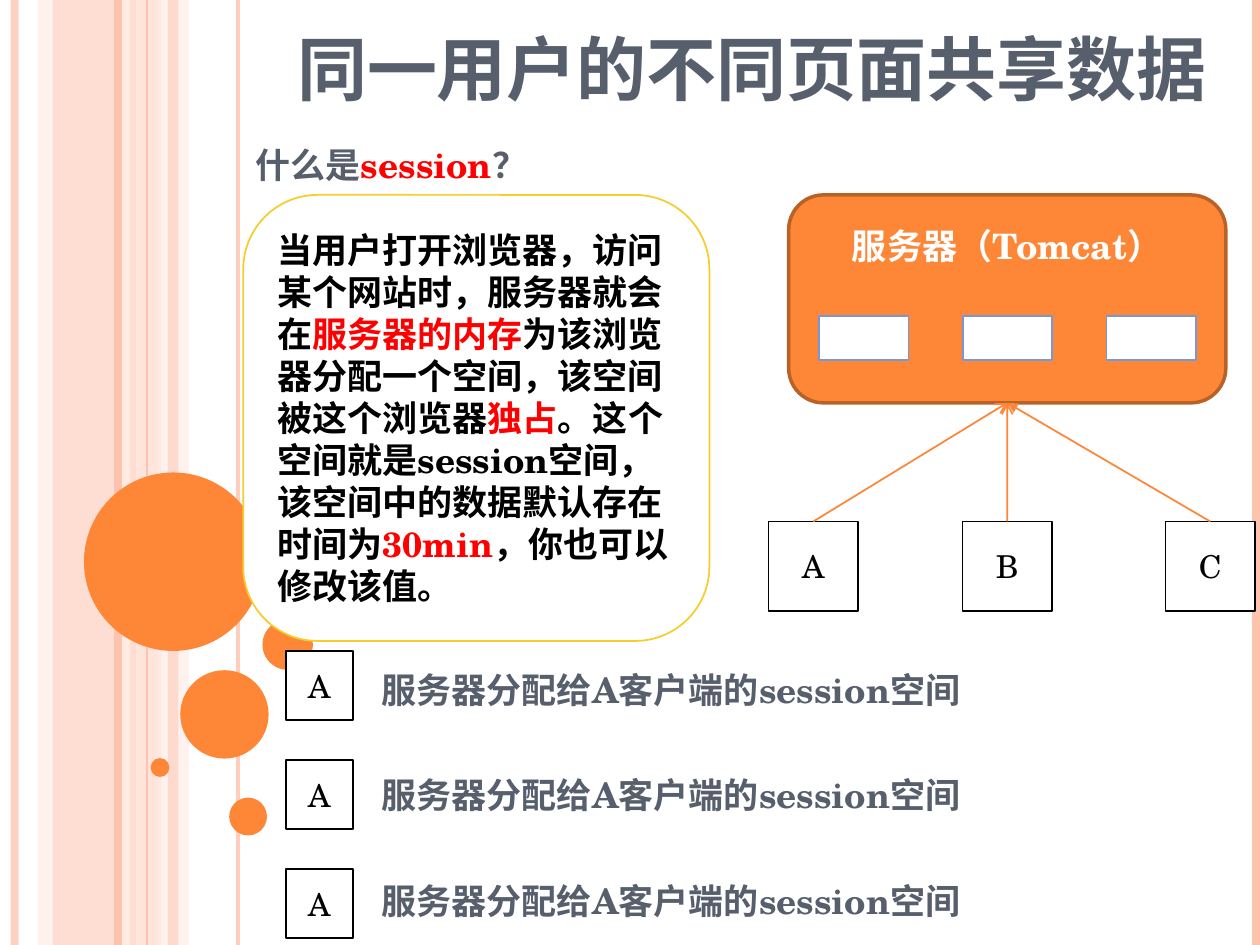
import lxml.etree
import pptx
import pptx.dml.color
import pptx.enum.shapes
import pptx.enum.text
import pptx.oxml.ns
import pptx.util
from dataclasses import dataclass

Pt = pptx.util.Pt
SHAPE = pptx.enum.shapes.MSO_SHAPE
ALIGN = pptx.enum.text.PP_ALIGN
ANCHOR = pptx.enum.text.MSO_ANCHOR
qn = pptx.oxml.ns.qn


@dataclass(frozen=True)
class Theme:
    latin: str = "TeX Gyre Schola"
    east_asian: str = "Noto Sans CJK SC"
    slate: str = "575F6D"
    red: str = "FF0000"
    black: str = "000000"
    white: str = "FFFFFF"
    orange: str = "FE8637"
    dark_orange: str = "B96228"
    yellow: str = "F5CD2D"
    blue: str = "7598D9"
    peach: str = "FEC2AD"
    pale: str = "FFD9CD"
    faint: str = "FFEDE7"
    title: int = 40
    body: int = 20
    label: int = 18


def rgb(color):
    return pptx.dml.color.RGBColor.from_string(color)


def set_opacity(sp, percent):
    if percent < 100:
        for color in sp._element.spPr.iter(qn("a:srgbClr")):
            lxml.etree.SubElement(color, qn("a:alpha"), val=str(percent * 1000))


class SlideBuilder:
    def __init__(self, prs, theme):
        self.theme = theme
        self.s = prs.slides.add_slide(prs.slide_layouts[5])

    def fill_text(self, tf, parts, size, bold=True, align=ALIGN.LEFT, anchor=ANCHOR.MIDDLE):
        """Fill a frame with one paragraph of (text, color) parts."""
        tf.word_wrap = True
        tf.auto_size = pptx.enum.text.MSO_AUTO_SIZE.NONE
        tf.vertical_anchor = anchor
        p = tf.paragraphs[0]
        p.alignment = align
        p.line_spacing = Pt(size * 1.2)
        for text, color in parts:
            r = p.add_run()
            r.text = text
            r.font.size = Pt(size)
            r.font.bold = bold
            r.font.color.rgb = rgb(color)
            r.font.name = self.theme.latin
            lxml.etree.SubElement(r.font._element, qn("a:ea"), typeface=self.theme.east_asian)

    def title(self, text, left, top, width, height):
        sp = self.s.shapes.title
        sp.left, sp.top, sp.width, sp.height = map(Pt, (left, top, width, height))
        self.fill_text(sp.text_frame, [(text, self.theme.slate)], self.theme.title,
                       align=ALIGN.CENTER, anchor=ANCHOR.BOTTOM)
        sp.text_frame.margin_bottom = 0

    def text(self, parts, left, top, width, height):
        sp = self.s.shapes.add_textbox(*map(Pt, (left, top, width, height)))
        self.fill_text(sp.text_frame, parts, self.theme.body)

    def shape(self, kind, left, top, width, height, fill, line=None, weight=1, opacity=100):
        sp = self.s.shapes.add_shape(kind, *map(Pt, (left, top, width, height)))
        sp.shadow.inherit = False
        sp.fill.solid()
        sp.fill.fore_color.rgb = rgb(fill)
        if line:
            sp.line.color.rgb = rgb(line)
            sp.line.width = Pt(weight)
        else:
            sp.line.fill.background()
        set_opacity(sp, opacity)
        return sp

    def letter_box(self, letter, left, top, width, height):
        sp = self.shape(SHAPE.RECTANGLE, left, top, width, height,
                        self.theme.white, self.theme.black)
        self.fill_text(sp.text_frame, [(letter, self.theme.black)], self.theme.label,
                       bold=False, align=ALIGN.CENTER)
        return sp

    def line(self, x1, y1, x2, y2, color, weight, opacity=100):
        sp = self.s.shapes.add_connector(
            pptx.enum.shapes.MSO_CONNECTOR.STRAIGHT, *map(Pt, (x1, y1, x2, y2)))
        sp.line.color.rgb = rgb(color)
        sp.line.width = Pt(weight)
        lxml.etree.SubElement(sp._element.spPr, qn("a:effectLst"))
        set_opacity(sp, opacity)
        return sp

    def arrow(self, source, target, head):
        """Join the top of source to the bottom of target."""
        sp = self.line(0, 0, 0, 0, self.theme.orange, 1)
        sp.begin_connect(source, 0)
        sp.end_connect(target, 2)
        ln = sp._element.spPr.find(qn("a:ln"))
        lxml.etree.SubElement(ln, qn("a:tailEnd"), type=head)


def add_backdrop(b, t, height):
    for left, width, color, opacity in [
        (30, 48, t.peach, 54), (21.6, 8, t.pale, 36), (78, 14.4, t.pale, 69),
        (90, 18, t.faint, 70),
    ]:
        b.shape(SHAPE.RECTANGLE, left, 0, width, height, color, opacity=opacity)
    for x, color, weight, opacity in [
        (8.4, t.peach, 4.5, 72), (72, t.faint, 4.5, 83), (67.2, t.peach, 4.5, 100),
        (136, t.peach, 2.25, 81), (84, t.peach, 0.75, 100), (717.6, t.peach, 4.5, 100),
    ]:
        b.line(x, 0, x, height, color, weight, opacity)
    b.shape(SHAPE.RECTANGLE, 96, 0, 6, height, t.peach, opacity=50)
    for left, top, size in [(48, 270, 102), (103, 383, 50.5), (86, 433.2, 10.8),
                            (131, 455.8, 21.6), (150, 354, 28.8)]:
        b.shape(SHAPE.OVAL, left, top, size, size, t.orange)


def add_definition(b, t):
    b.text([("什么是", t.slate), ("session", t.red), ("？", t.slate)], 139, 77, 300, 34)
    sp = b.shape(SHAPE.ROUNDED_RECTANGLE, 139, 111.4, 266.4, 254.9, t.white, t.yellow)
    b.fill_text(sp.text_frame, [
        ("当用户打开浏览器，访问某个网站时，服务器就会在", t.black),
        ("服务器的内存", t.red),
        ("为该浏览器分配一个空间，该空间被这个浏览器", t.black),
        ("独占", t.red),
        ("。这个空间就是session空间，该空间中的数据默认存在时间为", t.black),
        ("30min", t.red),
        ("，你也可以修改该值。", t.black),
    ], t.body)


def add_server_diagram(b, t):
    server = b.shape(SHAPE.ROUNDED_RECTANGLE, 450.7, 111.4, 249.8, 118.8,
                     t.orange, t.dark_orange, 2)
    b.fill_text(server.text_frame, [("服务器（Tomcat）", t.white)], t.body,
                align=ALIGN.CENTER, anchor=ANCHOR.TOP)
    server.text_frame.margin_top = Pt(11)
    for i in range(3):
        b.shape(SHAPE.RECTANGLE, 468 + i * 82.1, 180.7, 51.1, 25.2, t.white, t.blue)
    clients = [b.letter_box(letter, left, 298, 51.1, 51.1)
               for letter, left in [("A", 439.2), ("B", 550), ("C", 666)]]
    for client, head in zip(clients, ("arrow", "arrow", "triangle")):
        b.arrow(client, server, head)


def add_legend(b, t):
    for i in range(3):
        b.letter_box("A", 163.4, 372 + i * 62.3, 38.2, 39.6)
        b.text([("服务器分配给A客户端的session空间", t.slate)], 211, 377 + i * 60.2, 420, 34)


def main():
    prs = pptx.Presentation()
    prs.slide_width, prs.slide_height = Pt(720), Pt(540)
    t = Theme()
    b = SlideBuilder(prs, t)
    add_backdrop(b, t, 540)
    b.title("同一用户的不同页面共享数据", 139, 0, 581, 62.6)
    add_definition(b, t)
    add_server_diagram(b, t)
    add_legend(b, t)
    prs.save("out.pptx")


if __name__ == "__main__":
    main()
